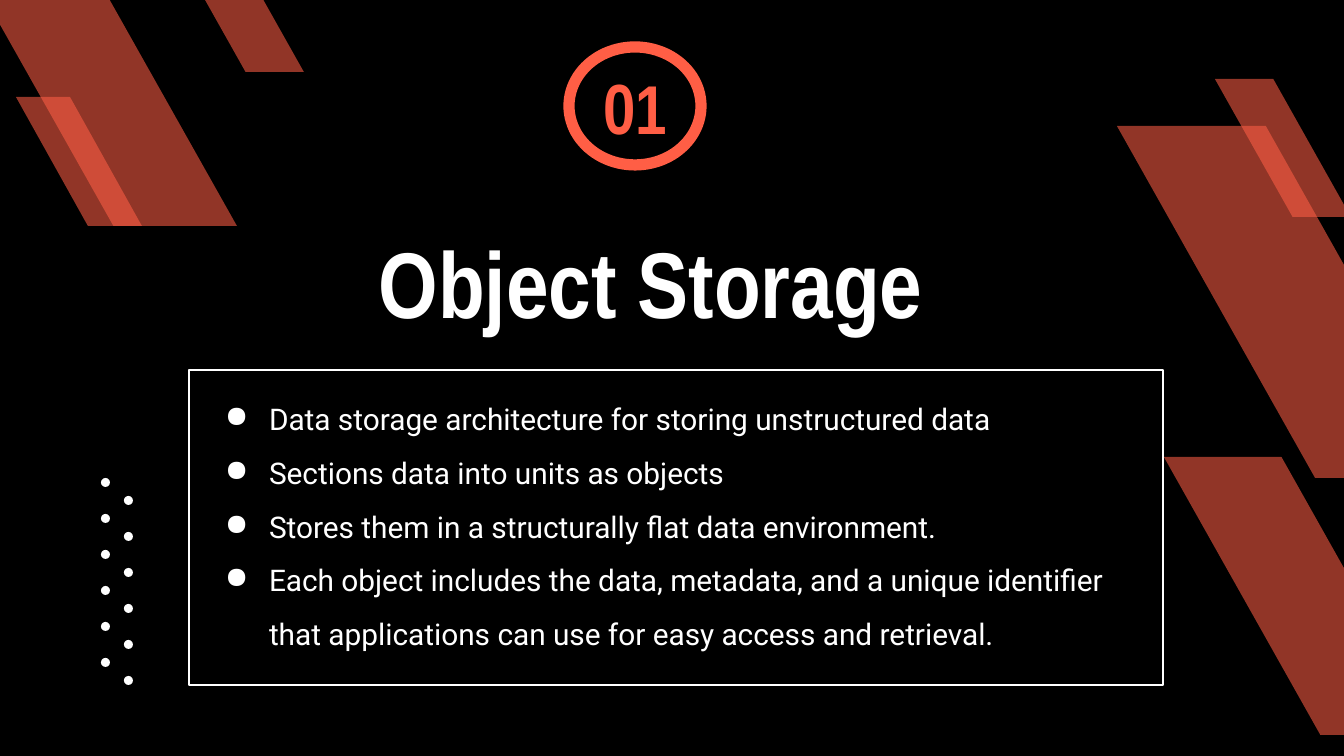
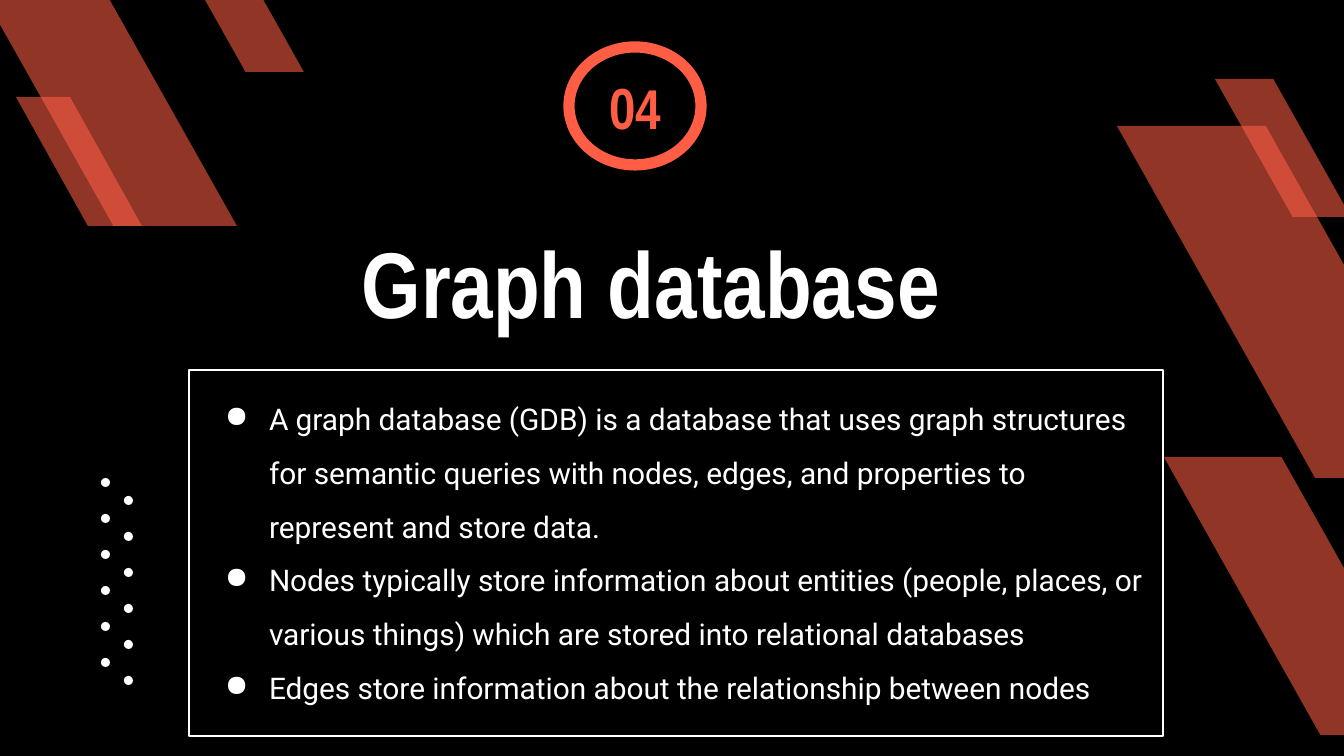
from dataclasses import dataclass

from lxml import etree
from pptx import Presentation
from pptx.dml.color import RGBColor
from pptx.enum.shapes import MSO_SHAPE
from pptx.enum.text import MSO_ANCHOR, PP_ALIGN
from pptx.oxml.ns import qn
from pptx.util import Pt

PARALLELOGRAM = MSO_SHAPE.PARALLELOGRAM
ELLIPSE = MSO_SHAPE.OVAL
RECT = MSO_SHAPE.RECTANGLE
TOP, MIDDLE, BOTTOM = MSO_ANCHOR.TOP, MSO_ANCHOR.MIDDLE, MSO_ANCHOR.BOTTOM
LEFT, CENTER = PP_ALIGN.LEFT, PP_ALIGN.CENTER

EMU_PER_PX = 914400 / 134.4


@dataclass(frozen=True)
class Theme:
    """Colours, fonts and type sizes shared by the slides."""
    back: RGBColor = RGBColor(0x00, 0x00, 0x00)
    ink: RGBColor = RGBColor(0xFF, 0xFF, 0xFF)
    accent: RGBColor = RGBColor(0xFF, 0x5E, 0x45)
    band_alpha: int = 57
    head_font: str = "Arial Narrow"
    body_font: str = "Roboto"
    title_size: int = 50
    body_size: int = 16
    ring_width: float = 6
    frame_width: float = 0.75


THEME = Theme()

CORNER_BANDS = [
    (-51, -66, 288, 292),
    (1117, 126, 347, 352),
    (1215, 79, 136, 138),
    (168, -66, 136, 138),
    (16, 97, 126, 129),
]
LOWER_BAND = (1164, 457, 274, 278)
RING_BOX = (569, 47, 132, 118)
TITLE_BOX = (168, 194, 966, 156)
DOTS_BOX = (101, 478, 32, 207)
BODY_LEFT, BODY_TOP, BODY_WIDTH = 189, 370, 974

SECTIONS = [
    {
        "number": [("0", 38), ("1", 37)],
        "title": "Object Storage",
        "body_height": 315,
        "points": [
            "Data storage architecture for storing unstructured data",
            "Sections data into units as objects",
            "Stores them in a structurally flat data environment.",
            "Each object includes the data, metadata, and a unique identifier "
            "that applications can use for easy access and retrieval.",
        ],
    },
    {
        "number": [("0", 31), ("4", 30)],
        "title": "Graph database",
        "body_height": 366,
        "points": [
            "A graph database (GDB) is a database that uses graph structures "
            "for semantic queries with nodes, edges, and properties to "
            "represent and store data.",
            "Nodes typically store information about entities (people, places, "
            "or various things) which are stored into relational databases",
            "Edges store information about the relationship between nodes",
        ],
    },
]


def px(n):
    """Turn pixels into EMU."""
    return round(n * EMU_PER_PX)


def add_shape(shapes, kind, box, fill=None, line=None, width=0):
    """Add a shadowless shape with the given fill and outline."""
    sp = shapes.add_shape(kind, *map(px, box))
    sp.shadow.inherit = False
    if fill is None:
        sp.fill.background()
    else:
        sp.fill.solid()
        sp.fill.fore_color.rgb = fill
    if line is None:
        sp.line.fill.background()
    else:
        sp.line.color.rgb = line
        sp.line.width = Pt(width)
    return sp


def set_frame(sp, anchor):
    """Prepare a wrapping text frame with even insets."""
    tf = sp.text_frame
    tf.word_wrap = True
    tf.vertical_anchor = anchor
    tf.margin_left = tf.margin_right = tf.margin_top = tf.margin_bottom = px(13)
    return tf


def add_run(p, text, font, size, color, bold=False):
    """Append one formatted run to a paragraph."""
    r = p.add_run()
    r.text = text
    r.font.name = font
    r.font.size = Pt(size)
    r.font.bold = bold
    r.font.color.rgb = color


def set_bullet(p):
    """Give a paragraph a hanging round bullet."""
    pPr = p._p.get_or_add_pPr()
    pPr.set("marL", str(px(67)))
    pPr.set("indent", str(-px(44)))
    clr = etree.SubElement(pPr, qn("a:buClr"))
    etree.SubElement(clr, qn("a:srgbClr"), val=str(THEME.ink))
    etree.SubElement(pPr, qn("a:buChar"), char="●")


def add_band(s, box):
    """Draw a translucent band that leans to the left."""
    sp = add_shape(s.shapes, PARALLELOGRAM, box, fill=THEME.accent)
    sp.adjustments[0] = 0.571
    sp.element.spPr.find(qn("a:xfrm")).set("flipH", "1")
    clr = sp.element.spPr.find(qn("a:solidFill"))[0]
    etree.SubElement(clr, qn("a:alpha"), val=str(THEME.band_alpha * 1000))


def add_number(s, box, digits):
    """Draw the ring with the section number."""
    sp = add_shape(s.shapes, ELLIPSE, box, line=THEME.accent, width=THEME.ring_width)
    p = set_frame(sp, MIDDLE).paragraphs[0]
    p.alignment = CENTER
    for digit, size in digits:
        add_run(p, digit, THEME.head_font, size, THEME.accent, bold=True)


def add_title(s, box, text):
    """Write the section title."""
    sp = s.shapes.add_textbox(*map(px, box))
    p = set_frame(sp, BOTTOM).paragraphs[0]
    p.alignment = CENTER
    add_run(p, text, THEME.head_font, THEME.title_size, THEME.ink, bold=True)


def add_points(s, box, points):
    """Draw the framed list of points."""
    sp = add_shape(s.shapes, RECT, box, line=THEME.ink, width=THEME.frame_width)
    tf = set_frame(sp, TOP)
    for i, text in enumerate(points):
        p = tf.add_paragraph() if i else tf.paragraphs[0]
        p.alignment = LEFT
        p.line_spacing = 1.5
        set_bullet(p)
        add_run(p, text, THEME.body_font, THEME.body_size, THEME.ink)


def add_dots(s, box, rows=6, size=9):
    """Draw two staggered columns of dots as one group."""
    left, top, width, height = box
    half_step = (height - size) / (2 * rows - 1)
    group = s.shapes.add_group_shape()
    for col in range(2):
        for row in range(rows):
            x = left + col * (width - size)
            y = top + (2 * row + col) * half_step
            add_shape(group.shapes, ELLIPSE, (x, y, size, size), fill=THEME.ink)


def add_section(prs, section):
    """Build one section slide."""
    s = prs.slides.add_slide(prs.slide_layouts[6])
    s.background.fill.solid()
    s.background.fill.fore_color.rgb = THEME.back
    for box in CORNER_BANDS:
        add_band(s, box)
    add_number(s, RING_BOX, section["number"])
    add_title(s, TITLE_BOX, section["title"])
    body_box = (BODY_LEFT, BODY_TOP, BODY_WIDTH, section["body_height"])
    add_points(s, body_box, section["points"])
    add_band(s, LOWER_BAND)
    add_dots(s, DOTS_BOX)


def main():
    """Build and save the presentation."""
    prs = Presentation()
    prs.slide_width, prs.slide_height = px(1344), px(756)
    for section in SECTIONS:
        add_section(prs, section)
    prs.save("out.pptx")


if __name__ == "__main__":
    main()
